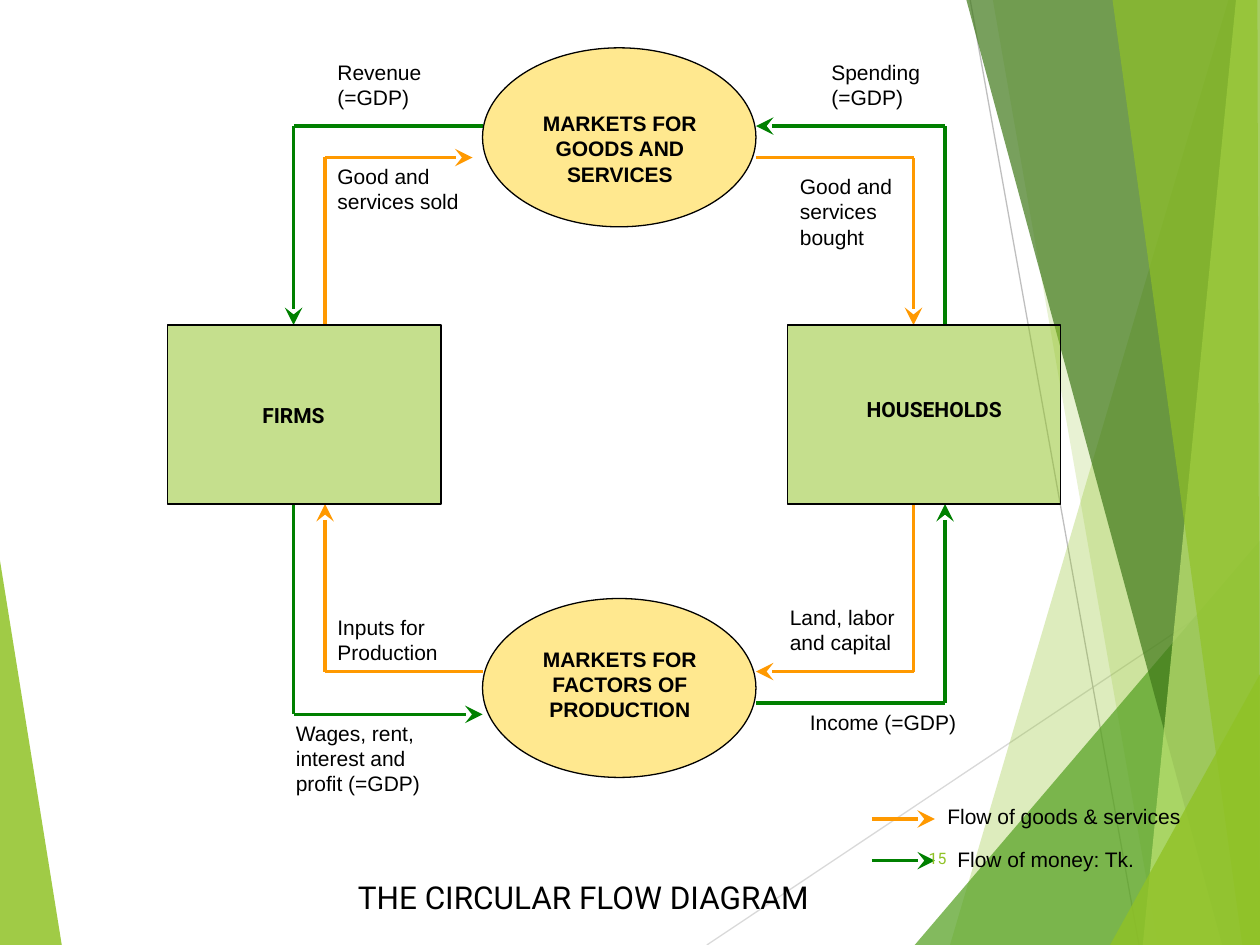
from dataclasses import dataclass
from itertools import pairwise

from lxml.etree import SubElement
from pptx import Presentation
from pptx.dml.color import RGBColor
from pptx.enum.shapes import MSO_CONNECTOR, MSO_SHAPE
from pptx.enum.text import MSO_ANCHOR, PP_ALIGN
from pptx.oxml.ns import qn
from pptx.slide import Slide
from pptx.util import Inches, Pt

COLORS = {
    "money": "008000", "goods": "FF9900", "black": "000000",
    "market": "FFCC00", "lime": "90C226", "green": "54A021",
    "forest": "3F7819", "pale": "C0E474", "light_gray": "D9D9D9", "gray": "BFBFBF",
}
Point = tuple[float, float]


@dataclass
class Facet:
    points: list[Point]
    color: str
    opacity: int


@dataclass
class Flow:
    color: str
    points: list[Point]


@dataclass
class Node:
    kind: MSO_SHAPE
    left: float
    top: float
    color: str
    opacity: int


@dataclass
class Label:
    text: str
    left: float
    top: float
    width: float
    height: float
    size: float = 12
    bold: bool = False
    font: str = "Arial"
    color: str = "black"
    align: PP_ALIGN = PP_ALIGN.LEFT
    anchor: MSO_ANCHOR = MSO_ANCHOR.TOP


FACETS = [
    Facet([(0, 4.45), (0.49, 7.5), (0, 7.5)], "lime", 85),
    Facet([(9.75, 0), (7.54, 7.5), (10, 7.5), (10, 0)], "lime", 30),
    Facet([(7.88, 0), (9.19, 7.5), (10, 7.5), (10, 0)], "lime", 20),
    Facet([(7.26, 7.5), (10, 4.29), (10, 7.5)], "green", 72),
    Facet([(7.67, 0), (9.7, 7.5), (10, 7.5), (10, 0)], "forest", 70),
    Facet([(9.81, 0), (9.07, 7.5), (10, 7.5), (10, 0)], "pale", 70),
    Facet([(8.83, 0), (9.86, 7.5), (10, 7.5), (9.98, 0)], "lime", 65),
    Facet([(8.81, 7.5), (10, 5.35), (10, 7.5)], "lime", 80),
]
FLOWS = [
    Flow("money", [(3.83, 1), (2.33, 1), (2.33, 2.58)]),
    Flow("money", [(2.33, 4), (2.33, 5.67), (3.83, 5.67)]),
    Flow("money", [(6, 5.58), (7.5, 5.58), (7.5, 4)]),
    Flow("money", [(7.5, 2.58), (7.5, 1), (6, 1)]),
    Flow("goods", [(2.58, 2.58), (2.58, 1.25), (3.75, 1.25)]),
    Flow("goods", [(6, 1.25), (7.25, 1.25), (7.25, 2.58)]),
    Flow("goods", [(7.25, 4), (7.25, 5.33), (6, 5.33)]),
    Flow("goods", [(3.83, 5.33), (2.58, 5.33), (2.58, 4)]),
    Flow("goods", [(6.92, 6.5), (7.42, 6.5)]),
    Flow("money", [(6.92, 6.83), (7.42, 6.83)]),
]
NODES = [
    Node(MSO_SHAPE.OVAL, 3.83, 0.38, "market", 44),
    Node(MSO_SHAPE.OVAL, 3.83, 4.75, "market", 44),
    Node(MSO_SHAPE.RECTANGLE, 1.33, 2.58, "lime", 52),
    Node(MSO_SHAPE.RECTANGLE, 6.25, 2.58, "lime", 52),
]
MARKET_STYLE = {"bold": True, "align": PP_ALIGN.CENTER}
ACTOR_STYLE = MARKET_STYLE | {"font": "Roboto", "anchor": MSO_ANCHOR.MIDDLE}
LABELS = [
    Label("MARKETS FOR FACTORS OF PRODUCTION", 4.17, 5.08, 1.5, 0.7, **MARKET_STYLE),
    Label("MARKETS FOR GOODS AND SERVICES", 4.17, 0.83, 1.5, 0.7, **MARKET_STYLE),
    Label("FIRMS", 1.83, 3.13, 1, 0.33, **ACTOR_STYLE),
    Label("HOUSEHOLDS", 6.75, 3.08, 1.33, 0.33, **ACTOR_STYLE),
    Label("Good and services bought", 6.25, 1.33, 1.25, 0.7),
    Label("Good and services sold", 2.58, 1.25, 1.17, 0.5),
    Label("Revenue (=GDP)", 2.58, 0.42, 1.17, 0.5),
    Label("Spending (=GDP)", 6.5, 0.42, 1.17, 0.5),
    Label("Inputs for Production", 2.58, 4.83, 1.17, 0.5),
    Label("Land, labor and capital", 6.17, 4.75, 1.17, 0.5),
    Label("Wages, rent, interest and profit (=GDP)", 2.25, 5.67, 1.33, 0.7),
    Label("Flow of goods & services", 7.42, 6.33, 2.42, 0.3),
    Label("Flow of money: Tk.", 7.5, 6.67, 2.33, 0.3),
    Label("Income (=GDP)", 6.33, 5.58, 1.5, 0.3),
    Label("15", 7.05, 6.61, 0.56, 0.4, size=9, font="Roboto", color="lime",
          align=PP_ALIGN.RIGHT, anchor=MSO_ANCHOR.MIDDLE),
]
TITLE = Label("THE CIRCULAR FLOW DIAGRAM", 2.42, 6.92, 4.42, 0.4, size=18,
              font="Roboto", align=PP_ALIGN.CENTER)


def rgb(name: str) -> RGBColor:
    return RGBColor.from_string(COLORS[name])


def fill_shape(shape, color: str, opacity: int) -> None:
    shape.shadow.inherit = False
    shape.fill.solid()
    shape.fill.fore_color.rgb = rgb(color)
    color_element = shape.element.spPr.find(qn("a:solidFill"))[0]
    SubElement(color_element, qn("a:alpha"), val=str(opacity * 1000))


def draw_facet(slide: Slide, facet: Facet) -> None:
    start, *rest = [(Inches(x), Inches(y)) for x, y in facet.points]
    builder = slide.shapes.build_freeform(*start)
    builder.add_line_segments(rest, close=True)
    shape = builder.convert_to_shape()
    fill_shape(shape, facet.color, facet.opacity)
    shape.line.fill.background()


def draw_line(slide: Slide, start: Point, end: Point, color: str,
              width: float, arrow: bool = False) -> None:
    ends = [Inches(value) for value in (*start, *end)]
    connector = slide.shapes.add_connector(MSO_CONNECTOR.STRAIGHT, *ends)
    connector.line.color.rgb = rgb(color)
    connector.line.width = Pt(width)
    if arrow:
        line_element = connector.element.spPr.find(qn("a:ln"))
        SubElement(line_element, qn("a:tailEnd"), type="stealth", w="lg", len="lg")
    SubElement(connector.element.spPr, qn("a:effectLst"))


def draw_flow(slide: Slide, flow: Flow) -> None:
    for start, end in pairwise(flow.points):
        draw_line(slide, start, end, flow.color, 2, arrow=end == flow.points[-1])


def draw_node(slide: Slide, node: Node) -> None:
    shape = slide.shapes.add_shape(node.kind, Inches(node.left), Inches(node.top),
                                   Inches(2.17), Inches(1.42))
    fill_shape(shape, node.color, node.opacity)
    shape.line.color.rgb = rgb("black")
    shape.line.width = Pt(0.75)


def write_label(shape, label: Label) -> None:
    for name in ("left", "top", "width", "height"):
        setattr(shape, name, Inches(getattr(label, name)))
    frame = shape.text_frame
    frame.text = label.text
    frame.word_wrap = True
    frame.vertical_anchor = label.anchor
    paragraph = frame.paragraphs[0]
    paragraph.alignment = label.align
    font = paragraph.runs[0].font
    formats = {"name": label.font, "size": Pt(label.size), "bold": label.bold}
    for name, value in formats.items():
        setattr(font, name, value)
    font.color.rgb = rgb(label.color)


def main() -> None:
    presentation = Presentation()
    presentation.slide_width = Inches(10)
    presentation.slide_height = Inches(7.5)
    slide = presentation.slides.add_slide(presentation.slide_layouts[5])
    title = slide.shapes.title

    draw_facet(slide, FACETS[0])
    draw_line(slide, (5.61, 7.5), (10, 4.57), "light_gray", 0.75)
    draw_line(slide, (7.7, 0), (9.04, 7.5), "gray", 0.75)
    for facet in FACETS[1:]:
        draw_facet(slide, facet)
    for flow in FLOWS:
        draw_flow(slide, flow)
    for node in NODES:
        draw_node(slide, node)
    for label in LABELS:
        write_label(slide.shapes.add_textbox(0, 0, 0, 0), label)
    write_label(title, TITLE)
    title.element.getparent().append(title.element)
    presentation.save("out.pptx")


if __name__ == "__main__":
    main()
